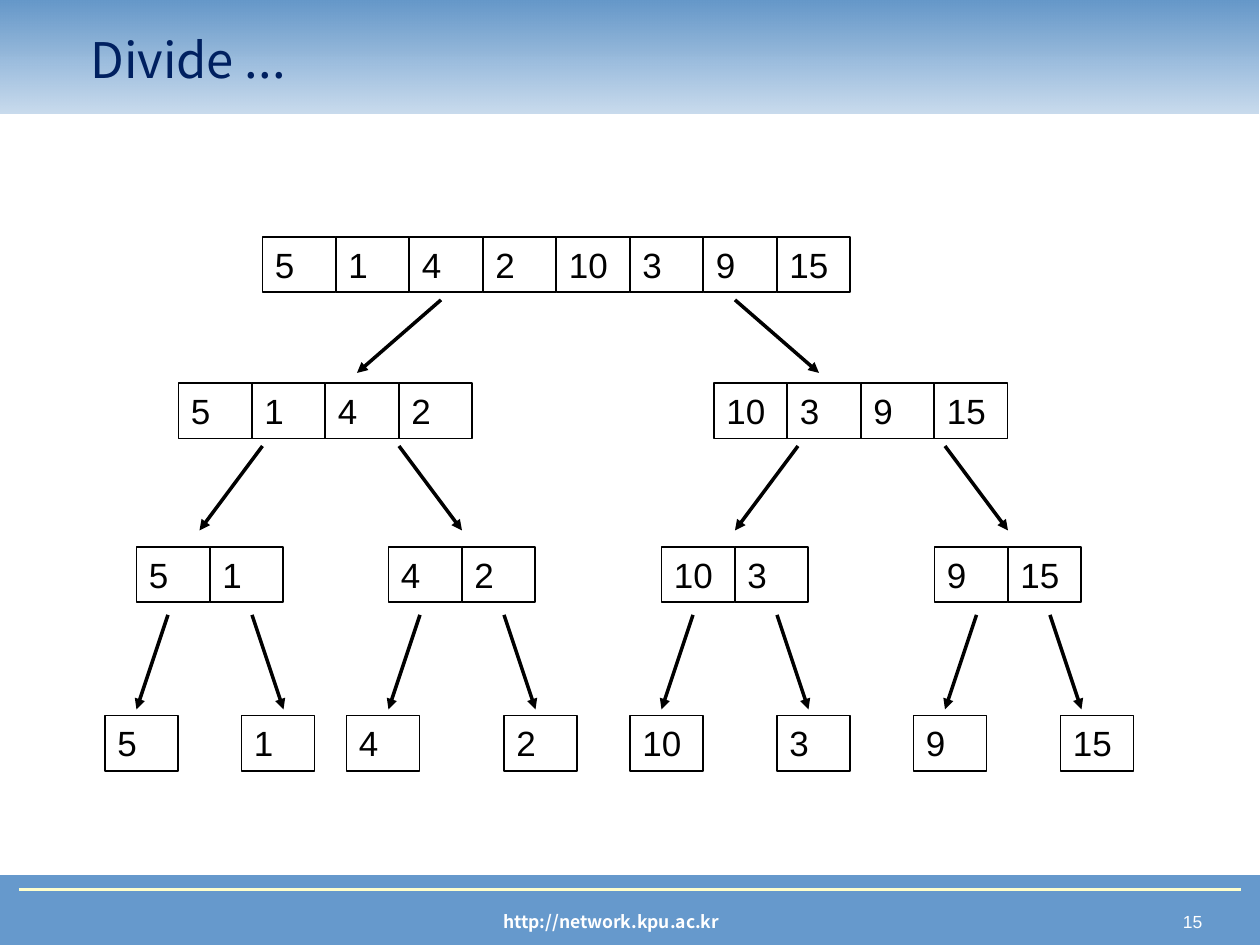
from lxml import etree
from pptx import Presentation
from pptx.dml.color import RGBColor
from pptx.enum.shapes import MSO_CONNECTOR, MSO_SHAPE
from pptx.enum.text import MSO_ANCHOR, PP_ALIGN
from pptx.oxml.ns import qn
from pptx.util import Inches, Pt

RECTANGLE = MSO_SHAPE.RECTANGLE
STRAIGHT = MSO_CONNECTOR.STRAIGHT
TOP, MIDDLE = MSO_ANCHOR.TOP, MSO_ANCHOR.MIDDLE
LEFT, CENTER, RIGHT = PP_ALIGN.LEFT, PP_ALIGN.CENTER, PP_ALIGN.RIGHT

COLORS = {"band": "6699CC", "band_top": "6497C9", "rule": "FFFFCC",
          "title": "002060", "black": "000000", "white": "FFFFFF"}
LATIN, KOREAN = "Arial", "Noto Sans CJK KR"

# Cells stand on a grid of twelfths of an inch
UNIT = 1 / 12
CELL_PITCH, CELL_WIDTH, CELL_HEIGHT = 7 * UNIT, 0.58, 0.44

# Each level: top, then (left in grid units, values) of every list
LEVELS = [
    (1.88, [(25, [5, 1, 4, 2, 10, 3, 9, 15])]),
    (3.04, [(17, [5, 1, 4, 2]), (68, [10, 3, 9, 15])]),
    (4.34, [(13, [5, 1]), (37, [4, 2]), (63, [10, 3]), (89, [9, 15])]),
    (5.68, [(10, [5]), (23, [1]), (33, [4]), (48, [2]),
            (60, [10]), (74, [3]), (87, [9]), (101, [15])]),
]

# Each step down: start height, end height, (from, to) in grid units
STEPS = [
    (2.38, 2.96, [(42, 34), (70, 78)]),
    (3.54, 4.21, [(25, 19), (38, 44), (76, 70), (90, 96)]),
    (4.88, 5.63, [(16, 13), (24, 27), (40, 37), (48, 51),
                  (66, 63), (74, 77), (93, 90), (100, 103)]),
]


def color(name):
    return RGBColor.from_string(COLORS[name])


def write_text(shape, text, size, font, ink, align=LEFT, anchor=TOP, bold=False):
    frame = shape.text_frame
    frame.word_wrap = True
    frame.vertical_anchor = anchor
    para = frame.paragraphs[0]
    para.alignment = align
    span = para.add_run()
    span.text = text
    span.font.size = Pt(size)
    span.font.name = font
    span.font.bold = bold
    span.font.color.rgb = color(ink)
    # East Asian text takes the same typeface
    etree.SubElement(span.font._element, qn("a:ea"), typeface=font)


def add_label(page, left, top, width, height, text, *style, **options):
    box = page.shapes.add_textbox(Inches(left), Inches(top), Inches(width), Inches(height))
    write_text(box, text, *style, **options)


def add_box(page, left, top, width, height):
    box = page.shapes.add_shape(RECTANGLE, Inches(left), Inches(top),
                                Inches(width), Inches(height))
    box.shadow.inherit = False
    return box


def add_line(page, start, end, ink, weight, arrow=False):
    line = page.shapes.add_connector(STRAIGHT, *map(Inches, start + end))
    line.line.color.rgb = color(ink)
    line.line.width = Pt(weight)
    if arrow:
        etree.SubElement(line.line._get_or_add_ln(), qn("a:tailEnd"), type="triangle")
    etree.SubElement(line._element.spPr, qn("a:effectLst"))


def add_footer(page):
    band = add_box(page, 0, 6.95, 10, 0.55)
    band.fill.solid()
    band.fill.fore_color.rgb = color("band")
    band.line.color.rgb = color("band")
    band.line.width = Pt(0.75)
    add_label(page, 7.42, 7.18, 2.22, 0.27, "15", 10, LATIN, "white", align=RIGHT)
    add_label(page, 2.27, 7.18, 5.16, 0.27, "http://network.kpu.ac.kr",
              10, KOREAN, "white", align=CENTER, bold=True)
    add_line(page, (0.15, 7.06), (9.85, 7.06), "rule", 1.5)


def add_header(page):
    band = add_box(page, -0.01, 0, 10, 0.9)
    band.line.fill.background()
    band.fill.gradient()
    band.fill.gradient_angle = 90
    for stop, name in zip(band.fill.gradient_stops, ("band", "band_top")):
        stop.color.rgb = color(name)
    # The lower edge fades out
    faded = next(band._element.spPr.iter(qn("a:srgbClr")))
    etree.SubElement(faded, qn("a:alpha"), val="35000")
    add_label(page, 0.62, 0.16, 8.44, 0.62, "Divide ...", 28, KOREAN, "title", anchor=MIDDLE)


def add_list(page, left, top, values):
    for index, value in enumerate(values):
        cell = add_box(page, left + index * CELL_PITCH, top, CELL_WIDTH, CELL_HEIGHT)
        cell.fill.background()
        cell.line.color.rgb = color("black")
        cell.line.width = Pt(1)
        write_text(cell, str(value), 20, LATIN, "black")


def main():
    deck = Presentation()
    deck.slide_width, deck.slide_height = Inches(10), Inches(7.5)
    page = deck.slides.add_slide(deck.slide_layouts[6])

    add_footer(page)
    add_header(page)

    # Lists, halved at every level
    for top, lists in LEVELS:
        for column, values in lists:
            add_list(page, column * UNIT, top, values)

    # Arrows from each list to its halves
    for start_y, end_y, arrows in STEPS:
        for start, end in arrows:
            add_line(page, (start * UNIT, start_y), (end * UNIT, end_y), "black", 2, arrow=True)

    deck.save("out.pptx")


if __name__ == "__main__":
    main()
